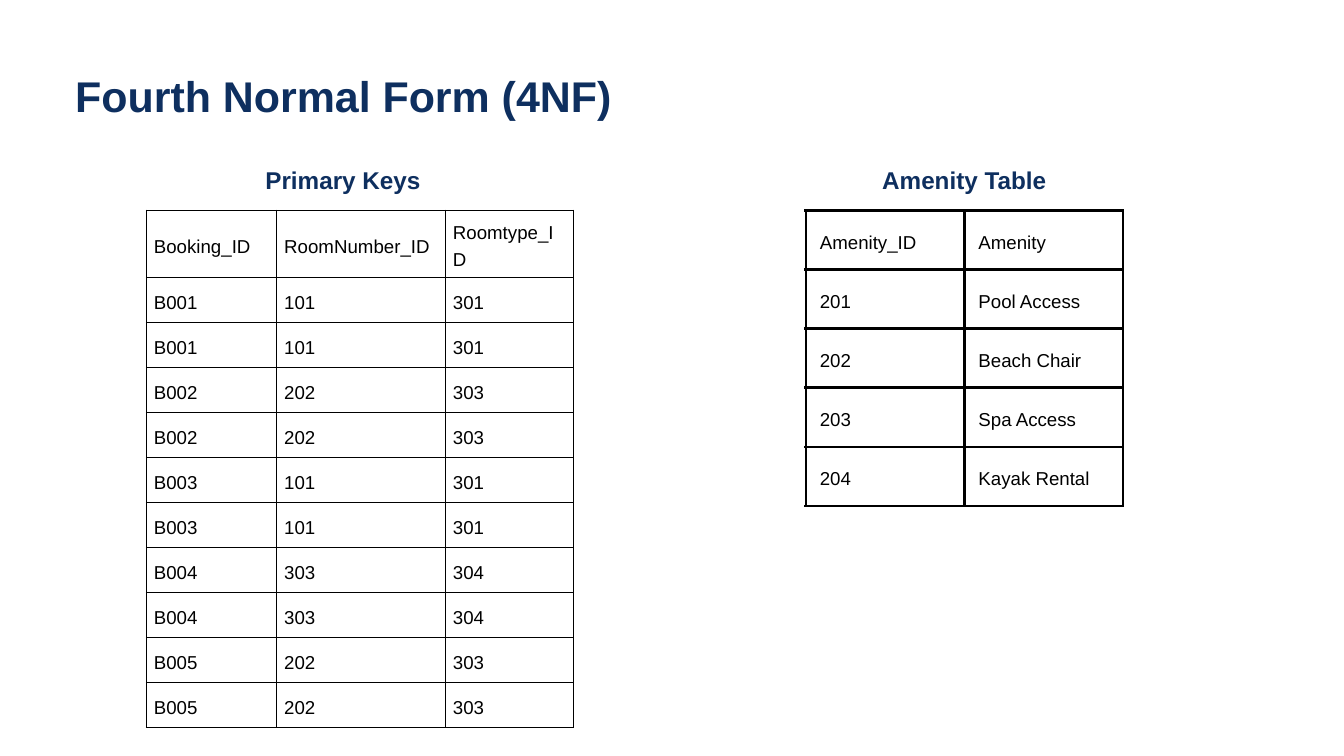
from lxml import etree
from pptx import Presentation
from pptx.dml.color import RGBColor
from pptx.enum.text import MSO_ANCHOR, MSO_AUTO_SIZE, PP_ALIGN
from pptx.oxml.ns import qn
from pptx.util import Inches, Pt

MIDDLE = MSO_ANCHOR.MIDDLE
GROW = MSO_AUTO_SIZE.SHAPE_TO_FIT_TEXT
LEFT, CENTER = PP_ALIGN.LEFT, PP_ALIGN.CENTER
FONT, NAVY, BLACK = "Arial", "0E2F5F", "000000"

TEXTS = [
    ("Fourth Normal Form (4NF)", (1.12, 0.99, 11.13, 0.89), 46, 58.4, LEFT),
    ("Amenity Table", (13.05, 2.44, 2.6, 0.52), 26, 33, CENTER),
    ("Primary Keys", (3.88, 2.44, 2.45, 0.52), 26, 33, CENTER),
]
KEYS = [
    ("Booking_ID", "RoomNumber_ID", "Roomtype_ID"),
    ("B001", "101", "301"),
    ("B001", "101", "301"),
    ("B002", "202", "303"),
    ("B002", "202", "303"),
    ("B003", "101", "301"),
    ("B003", "101", "301"),
    ("B004", "303", "304"),
    ("B004", "303", "304"),
    ("B005", "202", "303"),
    ("B005", "202", "303"),
]
AMENITIES = [
    ("Amenity_ID", "Amenity"),
    ("201", "Pool Access"),
    ("202", "Beach Chair"),
    ("203", "Spa Access"),
    ("204", "Kayak Rental"),
]
TOP = 3.13
TABLES = [
    (KEYS, 2.18, (1.94, 2.51, 1.9), 0.67, 0.11, 1.5),
    (AMENITIES, 11.99, (2.36, 2.36), 0.88, 0.21, 3),
]


def color(code):
    return RGBColor.from_string(code)


def write(frame, text, size, lead, code, bold=False, align=LEFT):
    para = frame.paragraphs[0]
    para.alignment = align
    para.line_spacing = Pt(lead)
    run = para.add_run()
    run.text = text
    font = run.font
    font.name, font.size, font.bold = FONT, Pt(size), bold
    font.color.rgb = color(code)


def inset(item, pad):
    item.margin_left = item.margin_right = Inches(pad)
    item.margin_top = item.margin_bottom = Inches(pad)


def border(cell, width):
    props = cell._tc.get_or_add_tcPr()
    for side in ("lnL", "lnR", "lnT", "lnB"):
        line = etree.SubElement(props, qn("a:" + side), w=str(Pt(width)))
        fill = etree.SubElement(line, qn("a:solidFill"))
        etree.SubElement(fill, qn("a:srgbClr"), val=BLACK)


def add_grid(slide, rows, left, widths, height, pad, line):
    table = slide.shapes.add_table(
        len(rows), len(widths), Inches(left), Inches(TOP),
        Inches(sum(widths)), Inches(height * len(rows))).table
    table.first_row = table.horz_banding = False
    for col, width in zip(table.columns, widths):
        col.width = Inches(width)
    for row, texts in zip(table.rows, rows):
        row.height = Inches(height)
        for cell, text in zip(row.cells, texts):
            inset(cell, pad)
            cell.vertical_anchor = MIDDLE
            border(cell, line)
            cell.fill.background()
            write(cell.text_frame, text, 20, 28, BLACK)


def add_text(slide, text, box, size, lead, align):
    frame = slide.shapes.add_textbox(*map(Inches, box)).text_frame
    frame.word_wrap = True
    frame.auto_size = GROW
    inset(frame, 0)
    write(frame, text, size, lead, NAVY, True, align)


def main():
    deck = Presentation()
    deck.slide_width, deck.slide_height = Inches(20), Inches(11.25)
    slide = deck.slides.add_slide(deck.slide_layouts[6])
    for grid in TABLES:
        add_grid(slide, *grid)
    for item in TEXTS:
        add_text(slide, *item)
    deck.save("out.pptx")


if __name__ == "__main__":
    main()
